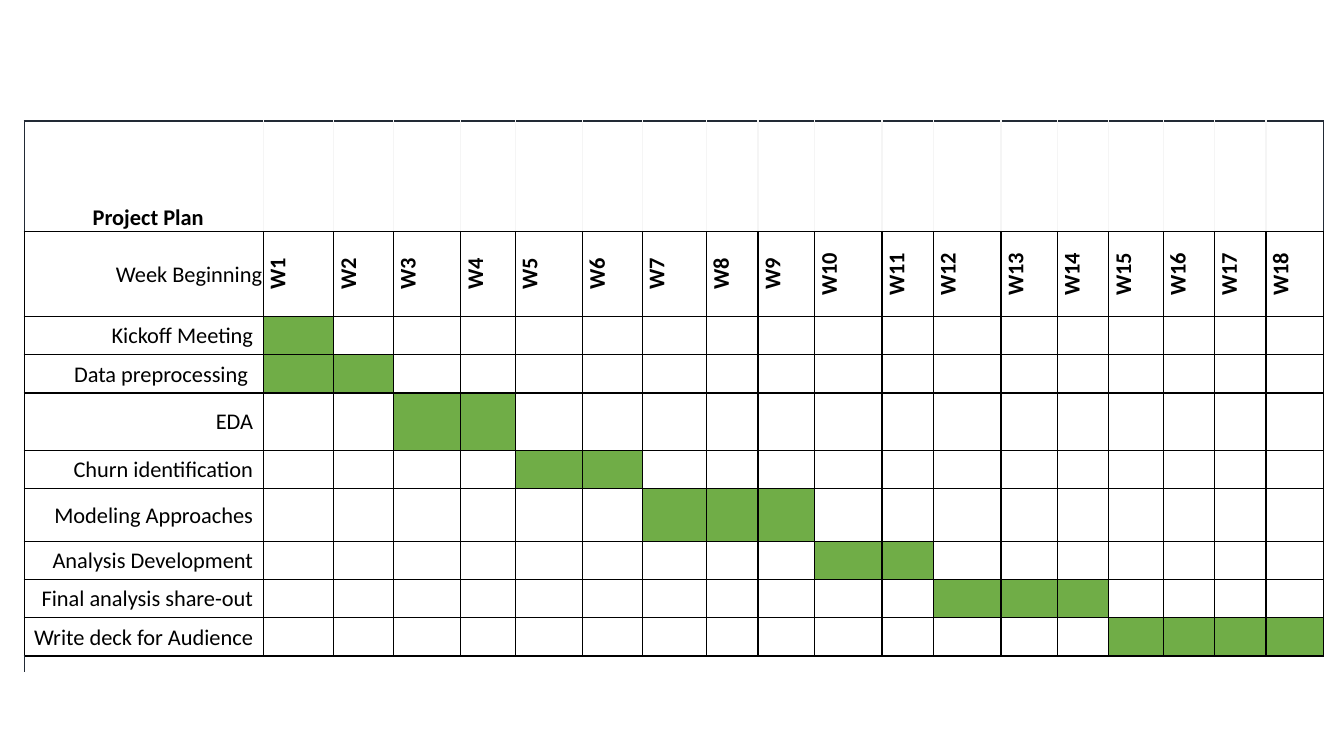
from lxml import etree
from pptx import Presentation
from pptx import util as u
from pptx.dml.color import RGBColor
from pptx.enum import text
from pptx.oxml import ns

BLACK = RGBColor(0x00, 0x00, 0x00)
WHITE = RGBColor(0xFF, 0xFF, 0xFF)
GREEN = RGBColor(0x70, 0xAD, 0x47)
NAVY = RGBColor(0x22, 0x2A, 0x35)
PALE = RGBColor(0xF5, 0xF5, 0xF5)

FONT = "Calibri"
WEEKS = 18
COL_WIDTHS = [2.37, 0.7, 0.59, 0.67, 0.54, 0.67, 0.59, 0.64, 0.51, 0.56,
              0.67, 0.51, 0.67, 0.56, 0.51, 0.54, 0.51, 0.51, 0.57]
TITLE_HEIGHT, WEEK_HEIGHT, FOOT_HEIGHT = 1.1, 0.84, 0.16
TASKS = [
    ("Kickoff Meeting", 1, 1, 0.38),
    ("Data preprocessing ", 1, 2, 0.38),
    ("EDA", 3, 4, 0.57),
    ("Churn identification", 5, 6, 0.38),
    ("Modeling Approaches", 7, 9, 0.52),
    ("Analysis Development", 10, 11, 0.38),
    ("Final analysis share-out", 12, 14, 0.38),
    ("Write deck for Audience", 15, 18, 0.38),
]


def set_borders(cell, left=BLACK, right=BLACK, top=BLACK, bottom=BLACK):
    """Draw each side of a cell in its colour, or leave it out for None."""
    tcPr = cell._tc.get_or_add_tcPr()
    for tag, color in zip(("a:lnL", "a:lnR", "a:lnT", "a:lnB"), (left, right, top, bottom)):
        ln = etree.SubElement(tcPr, ns.qn(tag), w=str(u.Pt(1)))
        if color is None:
            etree.SubElement(ln, ns.qn("a:noFill"))
        else:
            fill = etree.SubElement(ln, ns.qn("a:solidFill"))
            etree.SubElement(fill, ns.qn("a:srgbClr"), val=str(color))


def set_cell(cell, fill=WHITE, **borders):
    """Give a cell its borders, fill and small empty paragraph."""
    set_borders(cell, **borders)
    cell.fill.solid()
    cell.fill.fore_color.rgb = fill
    cell.margin_left = cell.margin_right = cell.margin_top = u.Inches(0.01)
    cell.margin_bottom = 0
    end = cell.text_frame.paragraphs[0]._p.get_or_add_endParaRPr()
    end.set("sz", "800")


def write(cell, content, bold=False, align=text.PP_ALIGN.RIGHT, left=0.01, right=0.01,
          anchor=text.MSO_ANCHOR.MIDDLE, vert=None):
    """Write formatted text into a cell."""
    p = cell.text_frame.paragraphs[0]
    p.alignment = align
    r = p.add_run()
    r.text = content
    r.font.name, r.font.size, r.font.bold = FONT, u.Pt(16), bold
    r.font.color.rgb = BLACK
    cell.margin_left, cell.margin_right = u.Inches(left), u.Inches(right)
    cell.vertical_anchor = anchor
    if vert:
        cell._tc.get_or_add_tcPr().set("vert", vert)


def add_plan_table(s):
    """Add the empty plan grid with its column and row sizes."""
    heights = [TITLE_HEIGHT, WEEK_HEIGHT, *(task[3] for task in TASKS), FOOT_HEIGHT]
    sp = s.shapes.add_table(len(heights), WEEKS + 1, u.Inches(0.24), u.Inches(1.2),
                            u.Inches(sum(COL_WIDTHS)), u.Inches(sum(heights)))
    table = sp.table
    table.first_row = table.horz_banding = False
    for col, width in zip(table.columns, COL_WIDTHS):
        col.width = u.Inches(width)
    for row, height in zip(table.rows, heights):
        row.height = u.Inches(height)
    return table


def fill_header(table):
    """Fill the title row and the row of week labels."""
    for col in range(WEEKS + 1):
        set_cell(table.cell(0, col), top=NAVY, left=PALE if col else NAVY,
                 right=PALE if col < WEEKS else NAVY)
        set_cell(table.cell(1, col))
        if col:
            write(table.cell(1, col), f"W{col}", bold=True,
                  align=text.PP_ALIGN.CENTER, vert="vert270")
    write(table.cell(0, 0), "Project Plan", bold=True, left=0.1,
          align=text.PP_ALIGN.CENTER, anchor=text.MSO_ANCHOR.BOTTOM)
    write(table.cell(1, 0), "Week Beginning", left=0.1)


def fill_tasks(table):
    """Fill one row per task with its name and its green weeks."""
    for row, (name, first, last, _) in enumerate(TASKS, start=2):
        for col in range(WEEKS + 1):
            set_cell(table.cell(row, col), fill=GREEN if first <= col <= last else WHITE)
        write(table.cell(row, 0), name, right=0.1)


def fill_footer(table):
    """Close the table with a thin row that is open to the right and below."""
    for col in range(WEEKS + 1):
        set_cell(table.cell(len(TASKS) + 2, col), left=None if col else NAVY,
                 right=None, bottom=None)


def main():
    """Build the project plan slide."""
    prs = Presentation()
    prs.slide_width, prs.slide_height = u.Inches(13.33), u.Inches(7.5)
    s = prs.slides.add_slide(prs.slide_layouts[6])
    table = add_plan_table(s)
    fill_header(table)
    fill_tasks(table)
    fill_footer(table)
    prs.save("out.pptx")


main()
